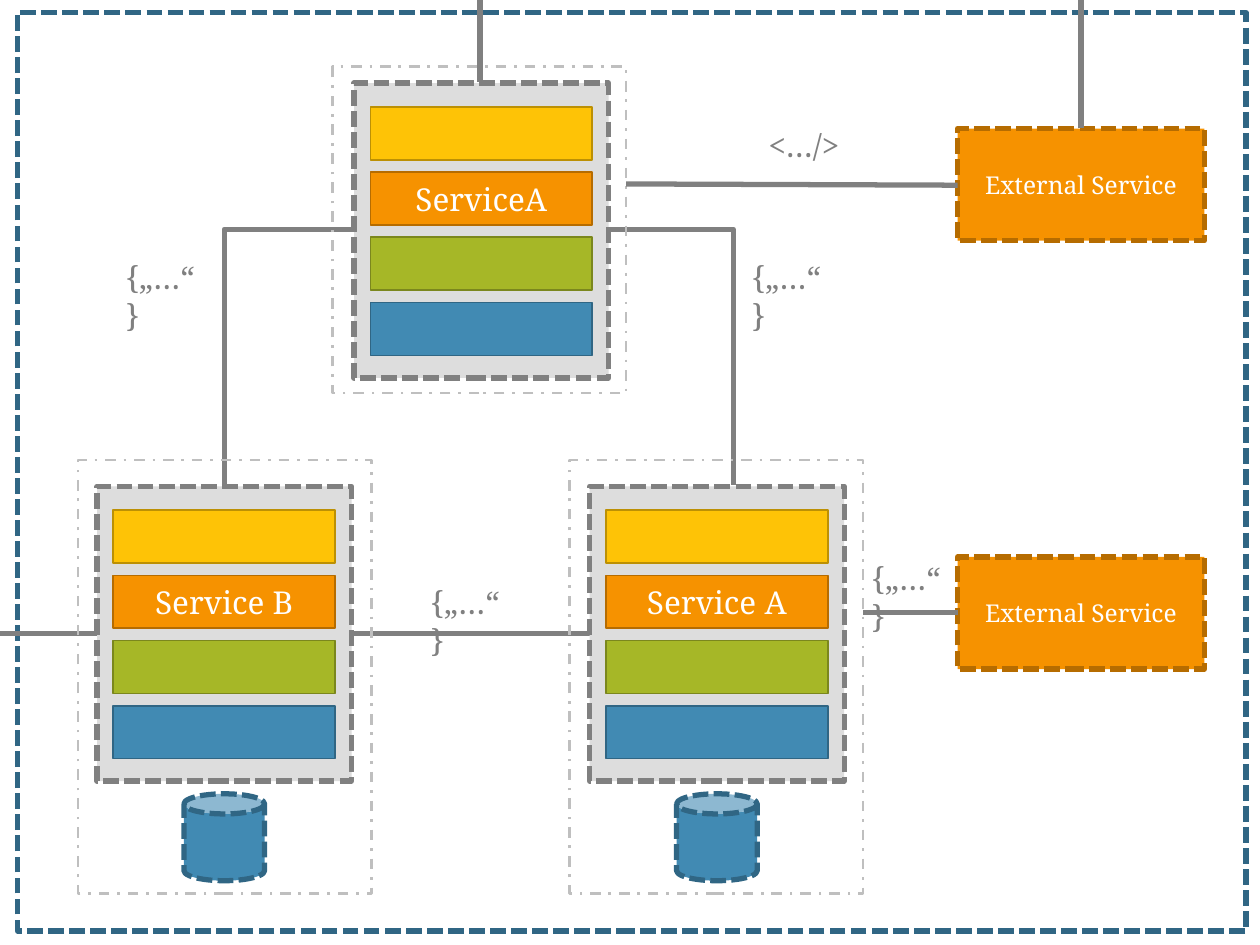
import pptx
import pptx.dml.color
import pptx.enum.dml
import pptx.enum.shapes
import pptx.enum.text
import pptx.oxml.ns
import pptx.util
from pptx.util import Inches

COLORS = {
    "gray": "808080", "panel": "DDDDDD", "frame": "BFBFBF", "white": "FFFFFF",
    "yellow": "FEC306", "yellow_edge": "BC9004",
    "orange": "F69200", "orange_edge": "B66C00",
    "green": "A6B727", "green_edge": "7B871D",
    "blue": "418AB3", "blue_edge": "306684",
}
FONT = "Noto Serif"
LAYERS = ("yellow", "orange", "green", "blue")
SHAPE = pptx.enum.shapes.MSO_SHAPE
CONNECTOR = pptx.enum.shapes.MSO_CONNECTOR
DASH = pptx.enum.dml.MSO_LINE
MESSAGE = "{„…“}"


def rgb(name):
    """Return the named colour."""
    return pptx.dml.color.RGBColor.from_string(COLORS[name])


def style_line(line, color, width, dash=None):
    """Set colour, width and dash of a line."""
    line.color.rgb = rgb(color)
    line.width = pptx.util.Pt(width)
    if dash is not None:
        line.dash_style = dash


def write(box, text, size, color, align):
    """Put one formatted paragraph into a shape."""
    para = box.text_frame.paragraphs[0]
    para.text = text
    para.alignment = align
    para.font.name = FONT
    para.font.size = pptx.util.Pt(size)
    para.font.color.rgb = rgb(color)


def add_box(shapes, place, fill, edge, width, dash=None, kind=SHAPE.RECTANGLE, text="", size=18):
    """Add a preset shape, unfilled when fill is None."""
    box = shapes.add_shape(kind, *map(Inches, place))
    box.shadow.inherit = False
    if fill:
        box.fill.solid()
        box.fill.fore_color.rgb = rgb(fill)
    else:
        box.fill.background()
    style_line(box.line, edge, width, dash)
    if text:
        box.text_frame.vertical_anchor = pptx.enum.text.MSO_ANCHOR.MIDDLE
        write(box, text, size, "white", pptx.enum.text.PP_ALIGN.CENTER)
    return box


def add_link(page, start, end, bent=False):
    """Add a gray connector; a bent one runs sideways, then down."""
    kind = CONNECTOR.ELBOW if bent else CONNECTOR.STRAIGHT
    link = page.shapes.add_connector(kind, *map(Inches, start + end))
    style_line(link.line, "gray", 3)
    properties = link._element.spPr
    if bent:
        properties.find(pptx.oxml.ns.qn("a:prstGeom")).set("prst", "bentConnector2")
    properties.append(pptx.oxml.parse_xml("<a:effectLst %s/>" % pptx.oxml.ns.nsdecls("a")))


def add_service(page, left, top, name):
    """Add a grouped service panel with its four layers."""
    group = page.shapes.add_group_shape()
    add_box(group.shapes, (left, top, 2.02, 2.34), "panel", "gray", 3, DASH.SQUARE_DOT)
    for row, color in enumerate(LAYERS):
        place = (left + 0.13, top + 0.19 + row * 0.517, 1.76, 0.42)
        add_box(group.shapes, place, color, color + "_edge", 1,
                text=name if color == "orange" else "")


def add_label(page, left, top, width, text):
    """Add a gray message label."""
    box = page.shapes.add_textbox(*map(Inches, (left, top, width, 0.4)))
    box.text_frame.word_wrap = True
    box.text_frame.auto_size = pptx.enum.text.MSO_AUTO_SIZE.SHAPE_TO_FIT_TEXT
    write(box, text, 18, "gray", pptx.enum.text.PP_ALIGN.LEFT)


def main():
    """Build the service diagram."""
    deck = pptx.Presentation()
    deck.slide_width, deck.slide_height = Inches(10), Inches(7.5)
    page = deck.slides.add_slide(deck.slide_layouts[6])

    add_link(page, (2.8, 1.82), (1.78, 3.86), bent=True)
    add_link(page, (4.81, 1.82), (5.82, 3.85), bent=True)
    add_link(page, (2.8, 5.03), (4.81, 5.03))
    add_box(page.shapes, (0.14, 0.1, 9.75, 7.29), None, "blue_edge", 3, DASH.SQUARE_DOT)
    add_link(page, (0.78, 5.03), (-0.26, 5.03))
    add_link(page, (3.81, 0.65), (3.81, -0.24))

    for left, top, name in ((0.77, 3.86, "Service B"), (2.81, 0.66, "ServiceA"),
                            (4.68, 3.86, "Service A")):
        add_service(page, left, top, name)
    for left in (1.46, 5.37):
        add_box(page.shapes, (left, 6.3, 0.64, 0.69), "blue", "blue_edge", 3,
                DASH.SQUARE_DOT, SHAPE.CAN)
    for left, top, height in ((0.62, 3.65, 3.44), (4.52, 3.65, 3.44), (2.64, 0.53, 2.59)):
        add_box(page.shapes, (left, top, 2.33, height), None, "frame", 1.5, DASH.DASH_DOT)

    for top in (4.42, 1.02):
        add_box(page.shapes, (7.6, top, 1.96, 0.89), "orange", "orange_edge", 3,
                DASH.SQUARE_DOT, text="External Service", size=14)
    add_link(page, (6.85, 4.86), (7.6, 4.86))
    add_link(page, (4.97, 1.46), (7.6, 1.47))
    add_link(page, (8.58, 1.02), (8.58, -0.29))

    for left, top in ((0.9, 2), (5.87, 2), (3.32, 4.58), (6.82, 4.39)):
        add_label(page, left, top, 0.83, MESSAGE)
    add_label(page, 6, 0.95, 0.93, "<…/>")
    deck.save("out.pptx")


main()
